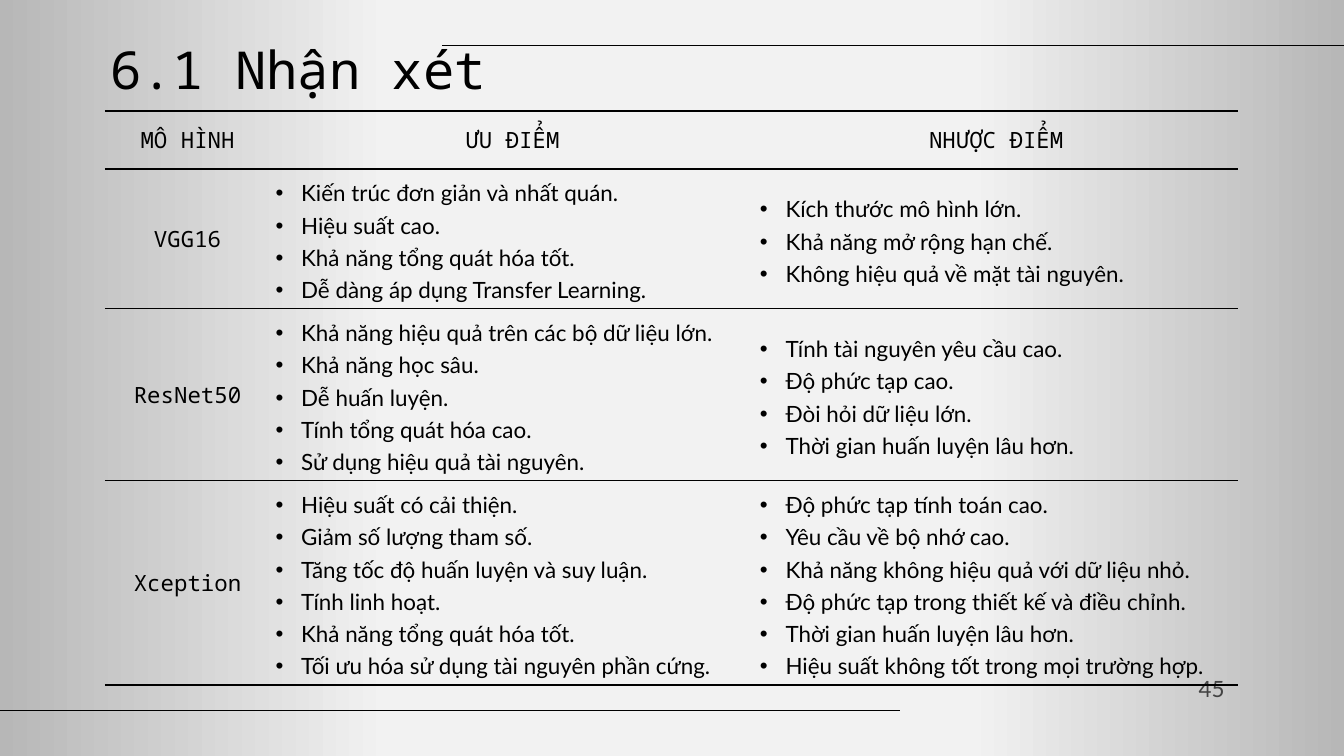
from lxml import etree
from pptx import Presentation
from pptx import util as u
from pptx.dml.color import RGBColor
from pptx.enum import shapes, text
from pptx.oxml.ns import qn

WIDTH = u.Inches(10)
HEIGHT = WIDTH * 9 // 16
COLORS = {"ink": "000000", "page": "434343", "edge": "B7B7B7", "center": "F2F2F2"}
MONO, SANS = "Noto Sans Mono", "Lato"
INSET = u.Inches(0.04)
INDENT = u.Inches(0.19)
HEADER_ROW, BULLET_LINE = u.Inches(0.43), u.Inches(0.24)
COLUMN_WEIGHTS = (1.23, 3.6, 3.59)
NO_STYLE = "{2D5ABB26-0587-4C30-8999-92F81FD0307C}"

HEADINGS = ("MÔ HÌNH", "ƯU ĐIỂM", "NHƯỢC ĐIỂM")
MODELS = [
    ("VGG16",
     ["Kiến trúc đơn giản và nhất quán.", "Hiệu suất cao.",
      "Khả năng tổng quát hóa tốt.", "Dễ dàng áp dụng Transfer Learning."],
     ["Kích thước mô hình lớn.", "Khả năng mở rộng hạn chế.",
      "Không hiệu quả về mặt tài nguyên."]),
    ("ResNet50",
     ["Khả năng hiệu quả trên các bộ dữ liệu lớn.", "Khả năng học sâu.",
      "Dễ huấn luyện.", "Tính tổng quát hóa cao.",
      "Sử dụng hiệu quả tài nguyên."],
     ["Tính tài nguyên yêu cầu cao.", "Độ phức tạp cao.",
      "Đòi hỏi dữ liệu lớn.", "Thời gian huấn luyện lâu hơn."]),
    ("Xception",
     ["Hiệu suất có cải thiện.", "Giảm số lượng tham số.",
      "Tăng tốc độ huấn luyện và suy luận.", "Tính linh hoạt.",
      "Khả năng tổng quát hóa tốt.", "Tối ưu hóa sử dụng tài nguyên phần cứng."],
     ["Độ phức tạp tính toán cao.", "Yêu cầu về bộ nhớ cao.",
      "Khả năng không hiệu quả với dữ liệu nhỏ.",
      "Độ phức tạp trong thiết kế và điều chỉnh.",
      "Thời gian huấn luyện lâu hơn.", "Hiệu suất không tốt trong mọi trường hợp."]),
]


def percent_box(left, top, width, height):
    """Turn percentages of the slide into lengths."""
    return (int(WIDTH * left / 100), int(HEIGHT * top / 100),
            int(WIDTH * width / 100), int(HEIGHT * height / 100))


def set_font(paragraph, name, size, color="ink"):
    paragraph.font.name = name
    paragraph.font.size = u.Pt(size)
    paragraph.font.color.rgb = RGBColor.from_string(COLORS[color])


def set_insets(holder):
    holder.margin_left = holder.margin_right = INSET
    holder.margin_top = holder.margin_bottom = INSET


def add_color(parent, color):
    etree.SubElement(parent, qn("a:srgbClr"), val=COLORS[color])


def paint_background(slide):
    fill = slide.background.fill
    fill.gradient()
    fill.gradient_angle = 0
    stops = slide.element.find(".//" + qn("a:gsLst"))
    for stop in list(stops):
        stops.remove(stop)
    for percent, color in ((0, "edge"), (29, "center"), (72, "center"), (100, "edge")):
        add_color(etree.SubElement(stops, qn("a:gs"), pos=str(percent * 1000)), color)


def add_rule(slide, box):
    left, top, width, _ = box
    rule = slide.shapes.add_connector(
        shapes.MSO_CONNECTOR.STRAIGHT, left, top, left + width, top)
    rule.line.width = u.Pt(0.75)
    rule.line.color.rgb = RGBColor.from_string(COLORS["ink"])
    etree.SubElement(rule._element.spPr, qn("a:effectLst"))


def add_title(slide, box, words):
    frame = slide.shapes.add_textbox(*box).text_frame
    frame.word_wrap = True
    set_insets(frame)
    title = frame.paragraphs[0]
    title.text = words
    set_font(title, MONO, 28)


def add_page_number(slide, box, number):
    frame = slide.shapes.add_textbox(*box).text_frame
    frame.word_wrap = True
    frame.vertical_anchor = text.MSO_ANCHOR.MIDDLE
    page = frame.paragraphs[0]
    page.text = number
    page.alignment = text.PP_ALIGN.RIGHT
    set_font(page, SANS, 12, "page")


def style_cell(cell):
    set_insets(cell)
    cell.vertical_anchor = text.MSO_ANCHOR.MIDDLE
    properties = cell._tc.get_or_add_tcPr()
    for side in ("lnL", "lnR", "lnT", "lnB"):
        border = etree.SubElement(properties, qn("a:" + side), w=str(u.Pt(1)))
        if side in ("lnT", "lnB"):
            add_color(etree.SubElement(border, qn("a:solidFill")), "ink")
        else:
            etree.SubElement(border, qn("a:noFill"))
    cell.fill.background()


def write_label(cell, words):
    label = cell.text_frame.paragraphs[0]
    label.text = words
    label.alignment = text.PP_ALIGN.CENTER
    set_font(label, MONO, 12)


def write_bullets(cell, points):
    frame = cell.text_frame
    for index, words in enumerate(points):
        point = frame.add_paragraph() if index else frame.paragraphs[0]
        point.text = words
        point.line_spacing = 1.2
        properties = point._p.get_or_add_pPr()
        properties.set("marL", str(INDENT))
        properties.set("indent", str(-INDENT))
        add_color(etree.SubElement(properties, qn("a:buClr")), "ink")
        etree.SubElement(properties, qn("a:buFont"), typeface="Arial")
        etree.SubElement(properties, qn("a:buChar"), char="•")
        set_font(point, SANS, 12)


def add_comparison(slide, box):
    # Each model row is as tall as its longer list of points
    heights = [HEADER_ROW] + [
        2 * INSET + BULLET_LINE * max(len(pros), len(cons)) for _, pros, cons in MODELS]
    left, top, width, _ = box
    table = slide.shapes.add_table(
        len(heights), len(HEADINGS), left, top, width, sum(heights)).table
    table.first_row = table.horz_banding = False
    table._tbl.tblPr.find(qn("a:tableStyleId")).text = NO_STYLE
    for column, weight in zip(table.columns, COLUMN_WEIGHTS):
        column.width = int(width * weight / sum(COLUMN_WEIGHTS))
    for row, height in zip(table.rows, heights):
        row.height = height
    for row, contents in zip(table.rows, [HEADINGS, *MODELS]):
        for cell, content in zip(row.cells, contents):
            style_cell(cell)
            write = write_label if isinstance(content, str) else write_bullets
            write(cell, content)


def main():
    deck = Presentation()
    deck.slide_width, deck.slide_height = WIDTH, HEIGHT
    slide = deck.slides.add_slide(deck.slide_layouts[6])
    paint_background(slide)

    # Decorative rules bleeding over the slide edges
    add_rule(slide, percent_box(32.9, 6, 68.1, 0))
    add_rule(slide, percent_box(-1.1, 93.95, 68.1, 0))

    # Title, page number and comparison table
    add_title(slide, percent_box(7.8, 4.25, 75.6, 9.4), "6.1 Nhận xét")
    add_page_number(slide, percent_box(69.6, 88.4, 22.5, 5.3), "45")
    add_comparison(slide, percent_box(7.8, 14.7, 84.3, 75.7))

    deck.save("out.pptx")


if __name__ == "__main__":
    main()
